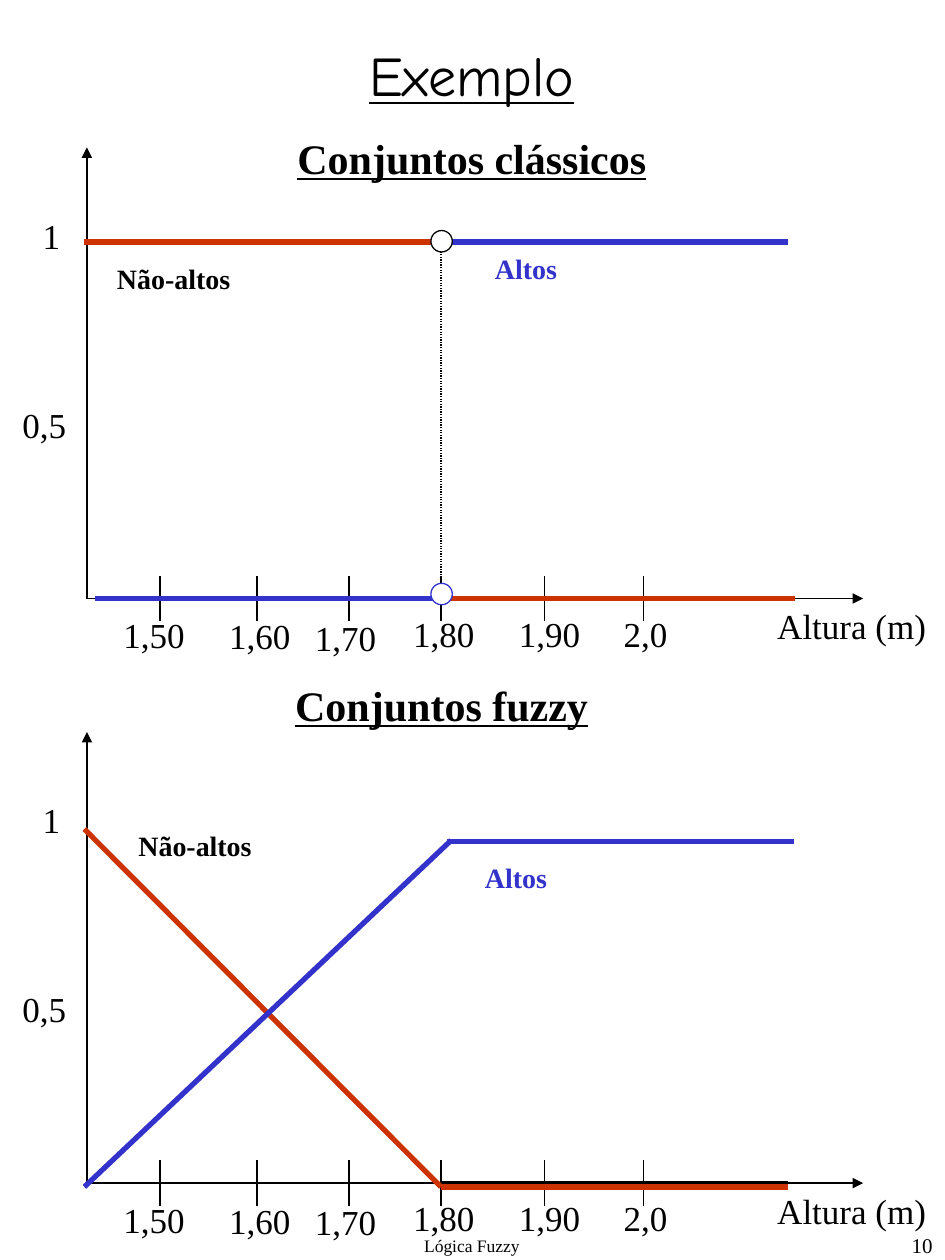
"""Builds a slide comparing classical and fuzzy sets of heights."""
from typing import NamedTuple

from lxml.etree import SubElement
from pptx import Presentation
from pptx.dml.color import RGBColor
from pptx.enum.dml import MSO_LINE as Dash
from pptx.enum.shapes import MSO_CONNECTOR as Connector, MSO_SHAPE as Preset
from pptx.enum.text import MSO_ANCHOR as Anchor, PP_ALIGN as Align
from pptx.oxml.ns import qn
from pptx.slide import Slide
from pptx.text.text import TextFrame
from pptx.util import Inches, Pt

BLACK = RGBColor(0x00, 0x00, 0x00)
WHITE = RGBColor(0xFF, 0xFF, 0xFF)
BLUE = RGBColor(0x33, 0x33, 0xCC)
RED = RGBColor(0xCC, 0x33, 0x00)
SERIF = "Times New Roman"
AXIS_X = 0.69
THRESHOLD_X = 3.5
CURVE_WIDTH = 3


class Style(NamedTuple):
    size: float
    color: RGBColor = BLACK
    bold: bool = False
    underline: bool = False
    font: str = SERIF
    align: Align = Align.LEFT
    spacing: float = 1.0
    before: float = 0
    wrap: bool = True


class Label(NamedTuple):
    text: str
    left: float
    top: float
    width: float
    height: float
    style: Style


class Line(NamedTuple):
    x1: float
    y1: float
    x2: float
    y2: float
    color: RGBColor = BLACK
    width: float = 0.75
    arrow: bool = False
    dotted: bool = False


class Tick(NamedTuple):
    text: str
    x: float
    label_left: float
    label_drop: float


class Marker(NamedTuple):
    left: float
    top: float
    color: RGBColor


TITLE = Style(32, underline=True, font="Comic Neue", align=Align.CENTER)
HEADING = Style(24, bold=True, underline=True, align=Align.CENTER, spacing=0.8, before=6)
NOT_TALL = Style(16, bold=True, align=Align.JUSTIFY, spacing=0.8, before=4)
TALL = NOT_TALL._replace(color=BLUE)
AXIS = Style(20, wrap=False)
FOOTER = Style(10, align=Align.CENTER)
PAGE_NUMBER = Style(12, align=Align.RIGHT)

TICKS = [
    Tick("1,50", 1.27, 0.88, 0.07),
    Tick("1,60", 2.04, 1.72, 0.08),
    Tick("1,70", 2.77, 2.4, 0.09),
    Tick("1,80", THRESHOLD_X, 3.18, 0.06),
    Tick("1,90", 4.32, 4.02, 0.06),
    Tick("2,0", 5.11, 4.85, 0.06),
]
CLASSIC_ORIGIN_Y = 4.75
FUZZY_ORIGIN_Y = 9.39
CLASSIC_LINES = [
    Line(THRESHOLD_X, 1.92, 6.25, 1.92, BLUE, CURVE_WIDTH),
    Line(0.67, 1.92, THRESHOLD_X, 1.92, RED, CURVE_WIDTH),
    Line(THRESHOLD_X, 4.75, THRESHOLD_X, 1.92, dotted=True),
    Line(0.75, 4.75, THRESHOLD_X, 4.75, BLUE, CURVE_WIDTH),
    Line(3.56, 4.75, 6.31, 4.75, RED, CURVE_WIDTH),
]
FUZZY_LINES = [
    Line(0.67, 6.58, THRESHOLD_X, 9.42, RED, CURVE_WIDTH),
    Line(0.67, 9.42, 3.58, 6.67, BLUE, CURVE_WIDTH),
    Line(3.55, 6.68, 6.3, 6.68, BLUE, CURVE_WIDTH),
    Line(THRESHOLD_X, 9.42, 6.25, 9.42, RED, CURVE_WIDTH),
]
MARKERS = [Marker(3.42, 1.83, BLACK), Marker(3.42, 4.63, BLUE)]
LABELS = [
    Label("Conjuntos clássicos", 1.08, 1.08, 5.33, 0.58, HEADING),
    Label("Não-altos", 0.83, 2.08, 1.58, 0.58, NOT_TALL),
    Label("Altos", 3.83, 2, 1.58, 0.58, TALL),
    Label("Conjuntos fuzzy", 1.42, 5.42, 4.17, 0.83, HEADING),
    Label("Não-altos", 1, 6.58, 2.92, 0.58, NOT_TALL),
    Label("Altos", 3.75, 6.83, 1.58, 0.58, TALL),
    Label("Lógica Fuzzy", 2.56, 9.75, 2.37, 0.67, FOOTER),
    Label("10", 5.94, 9.73, 1.56, 0.67, PAGE_NUMBER),
]


def write(frame: TextFrame, text: str, style: Style) -> None:
    frame.word_wrap = style.wrap
    paragraph = frame.paragraphs[0]
    paragraph.alignment = style.align
    paragraph.line_spacing = style.spacing
    paragraph.space_before = Pt(style.before)
    run = paragraph.add_run()
    run.text = text
    run.font.name = style.font
    run.font.size = Pt(style.size)
    run.font.bold = style.bold
    run.font.underline = style.underline
    run.font.color.rgb = style.color


def add_label(slide: Slide, label: Label) -> None:
    place = map(Inches, (label.left, label.top, label.width, label.height))
    write(slide.shapes.add_textbox(*place).text_frame, label.text, label.style)


def add_line(slide: Slide, line: Line) -> None:
    ends = map(Inches, (line.x1, line.y1, line.x2, line.y2))
    connector = slide.shapes.add_connector(Connector.STRAIGHT, *ends)
    connector.line.color.rgb = line.color
    connector.line.width = Pt(line.width)
    if line.dotted:
        connector.line.dash_style = Dash.ROUND_DOT
    if line.arrow:
        SubElement(connector.line._get_or_add_ln(), qn("a:tailEnd"), type="triangle")
    SubElement(connector._element.spPr, qn("a:effectLst"))


def add_marker(slide: Slide, marker: Marker) -> None:
    place = map(Inches, (marker.left, marker.top, 0.17, 0.17))
    circle = slide.shapes.add_shape(Preset.OVAL, *place)
    circle.shadow.inherit = False
    circle.fill.solid()
    circle.fill.fore_color.rgb = WHITE
    circle.line.color.rgb = marker.color
    circle.line.width = Pt(0.75)


def add_axes(slide: Slide, origin_y: float) -> None:
    add_line(slide, Line(AXIS_X, origin_y, AXIS_X, origin_y - 3.58, arrow=True))
    add_line(slide, Line(AXIS_X, origin_y, 6.85, origin_y, arrow=True))
    add_line(slide, Line(THRESHOLD_X, origin_y, 6.25, origin_y, width=2.25))
    for tick in TICKS:
        add_line(slide, Line(tick.x, origin_y - 0.18, tick.x, origin_y + 0.18))
        top = origin_y + tick.label_drop
        add_label(slide, Label(tick.text, tick.label_left, top, 0.75, 0.44, AXIS))
    add_label(slide, Label("1", 0.24, origin_y - 3.1, 0.34, 0.44, AXIS))
    add_label(slide, Label("0,5", 0.08, origin_y - 1.6, 0.55, 0.44, AXIS))
    add_label(slide, Label("Altura (m)", 6.07, origin_y, 1.38, 0.44, AXIS))


def main() -> None:
    deck = Presentation()
    deck.slide_width, deck.slide_height = Inches(7.5), Inches(10)
    slide = deck.slides.add_slide(deck.slide_layouts[5])
    title = slide.shapes.title
    title.left, title.top = Inches(0.56), Inches(0.17)
    title.width, title.height = Inches(6.37), Inches(0.83)
    title.text_frame.vertical_anchor = Anchor.MIDDLE
    write(title.text_frame, "Exemplo", TITLE)
    for origin_y, lines in ((CLASSIC_ORIGIN_Y, CLASSIC_LINES), (FUZZY_ORIGIN_Y, FUZZY_LINES)):
        add_axes(slide, origin_y)
        for line in lines:
            add_line(slide, line)
    for marker in MARKERS:
        add_marker(slide, marker)
    for label in LABELS:
        add_label(slide, label)
    deck.save("out.pptx")


if __name__ == "__main__":
    main()
